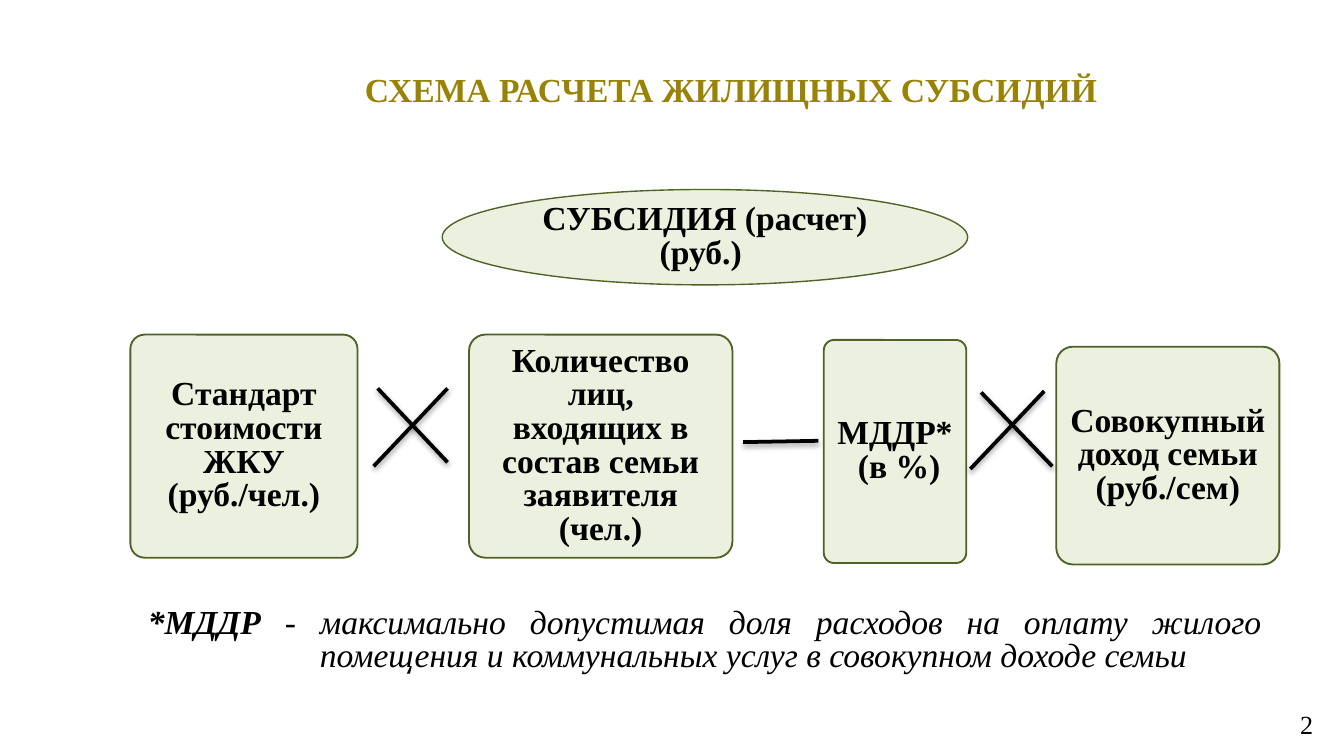
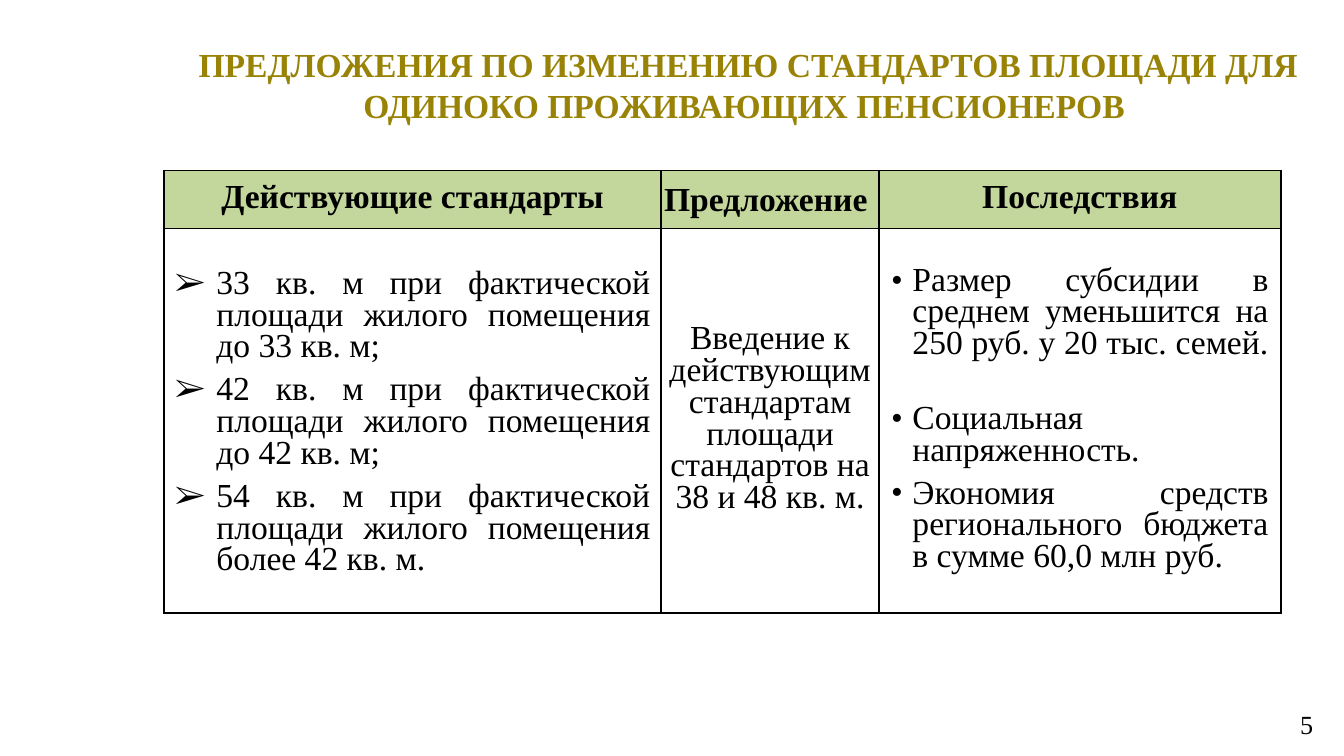
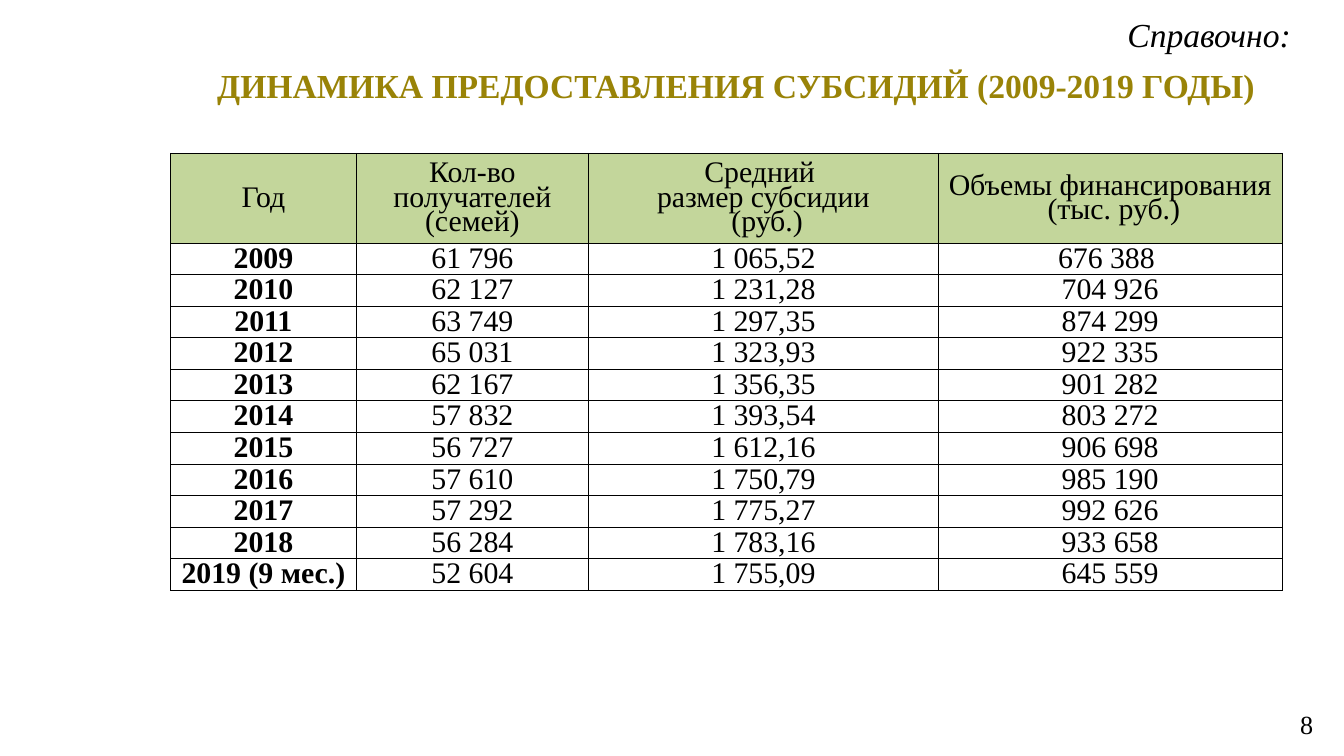
import pptx
import pptx.util
import pptx.dml.color
import pptx.enum.shapes
import pptx.enum.text
import pptx.oxml
import pptx.oxml.ns

Inches, Pt = pptx.util.Inches, pptx.util.Pt
SHAPE = pptx.enum.shapes.MSO_SHAPE
ALIGN = {"c": pptx.enum.text.PP_ALIGN.CENTER, "r": pptx.enum.text.PP_ALIGN.RIGHT,
         "j": pptx.enum.text.PP_ALIGN.JUSTIFY}
MIDDLE = pptx.enum.text.MSO_ANCHOR.MIDDLE
TOP = pptx.enum.text.MSO_ANCHOR.TOP

# Shared style
FONT = "Times New Roman"
COLORS = {"ink": "000000", "title": "998307", "box": "EBF1DE", "edge": "4F6228",
          "head": "C3D69B", "paper": "FFFFFF"}
WIDE, NARROW = (0.13, 0.07, 0.13, 0.07), (0.04, 0.07, 0.04, 0.07)

# Slide 1: subsidy formula
FORMULA_TITLE = "СХЕМА РАСЧЕТА ЖИЛИЩНЫХ СУБСИДИЙ"
RESULT = ["СУБСИДИЯ (расчет)", "(руб.) "]
FACTORS = [  # left, top, width, height, corner, insets, text
    (0.97, 2.49, 1.69, 1.66, 0.064, WIDE, ["Стандарт стоимости ЖКУ", "(руб./чел.)"]),
    (3.49, 2.49, 1.96, 1.66, 0.073, WIDE,
     ["Количество лиц, входящих в состав семьи заявителя (чел.)"]),
    (6.13, 2.53, 1.06, 1.66, 0.072, NARROW, ["МДДР*", " (в %)"]),
    (7.86, 2.58, 1.66, 1.62, 0.076, NARROW, ["Совокупный доход семьи", "(руб./сем)"]),
]
SIGNS = [  # strokes of the signs between the factors: x1, y1, x2, y2
    (2.81, 2.89, 3.33, 3.44), (2.78, 3.47, 3.33, 2.89),
    (5.53, 3.29, 6.09, 3.28),
    (7.3, 2.92, 7.83, 3.47), (7.22, 3.49, 7.77, 2.91),
]
FOOTNOTE = [("*МДДР ", {"bold": True}),
            ("- максимально допустимая доля расходов на оплату жилого помещения "
             "и коммунальных услуг в совокупном доходе семьи", {})]

# Slide 2: proposed standards
STANDARDS_TITLE = ("ПРЕДЛОЖЕНИЯ ПО ИЗМЕНЕНИЮ СТАНДАРТОВ ПЛОЩАДИ ДЛЯ "
                   "ОДИНОКО ПРОЖИВАЮЩИХ ПЕНСИОНЕРОВ ")
STANDARDS_COLS = [3.7, 1.62, 2.99]
STANDARDS_ROWS = [0.43, 2.86]
STANDARDS_HEAD = [("Действующие стандарты", (0.18, 0, 0.18, 0)),
                  ("Предложение ", (0, 0.05, 0, 0)),
                  ("Последствия", (0.18, 0, 0.18, 0))]
STANDARDS_BODY = [  # paragraphs, insets, format, space after each paragraph
    (["33 кв. м при фактической площади жилого помещения до 33 кв. м;",
      "42 кв. м при фактической площади жилого помещения до 42 кв. м;",
      "54 кв. м при фактической площади жилого помещения более 42 кв. м. "],
     (0.08, 0.05, 0.08, 0), {"align": "j", "bullet": "➢", "hang": 0.31}, (6, 6, 0)),
    (["Введение к действующим стандартам площади стандартов на 38 и 48 кв. м."],
     (0, 0, 0, 0), {}, (0,)),
    (["Размер субсидии в среднем уменьшится на 250 руб. у 20 тыс. семей. ",
      "Социальная напряженность.",
      "Экономия средств регионального бюджета в сумме 60,0 млн руб. "],
     (0.09, 0, 0.09, 0), {"align": "j", "bullet": "•", "hang": 0.16}, (23, 6, 0)),
]

# Slide 3: yearly figures
YEARS_TITLE = "ДИНАМИКА ПРЕДОСТАВЛЕНИЯ СУБСИДИЙ (2009-2019 ГОДЫ) "
YEARS_NOTE = "Справочно:"
YEARS_COLS = [1.38, 1.73, 2.6, 2.56]
YEARS_HEAD_H, YEARS_TABLE_H = 0.67, 3.24
YEARS_HEAD = ["Год", "Кол-во получателей (семей)", "Средний \nразмер субсидии\n (руб.)",
              "Объемы финансирования\n (тыс. руб.)"]
YEARS = [
    ("2009", "61 796", "1 065,52", "676 388 "),
    ("2010", "62 127", "1 231,28", "704 926"),
    ("2011", "63 749", "1 297,35", "874 299"),
    ("2012", "65 031", "1 323,93", "922 335"),
    ("2013", "62 167", "1 356,35", "901 282"),
    ("2014", "57 832", "1 393,54", "803 272"),
    ("2015", "56 727", "1 612,16", "906 698"),
    ("2016", "57 610", "1 750,79", "985 190"),
    ("2017", "57 292", "1 775,27", "992 626"),
    ("2018", "56 284", "1 783,16", "933 658"),
    ("2019 (9 мес.)", "52 604", "1 755,09", "645 559"),
]


def rgb(name):
    return pptx.dml.color.RGBColor.from_string(COLORS[name])


def add_xml(parent, tag, attrs="", inner=""):
    ns = pptx.oxml.ns.nsdecls("a")
    parent.append(pptx.oxml.parse_xml(f"<a:{tag} {ns} {attrs}>{inner}</a:{tag}>"))


def write(tf, paras, size=18, align="c", color="ink", bold=False, italic=False,
          spacing=None, after=(), hang=0, bullet=None):
    """Fill a text frame; a paragraph is a string or a list of (text, font changes)."""
    for i, para in enumerate(paras):
        p = tf.paragraphs[0] if i == 0 else tf.add_paragraph()
        p.alignment = ALIGN[align]
        if spacing:
            p.line_spacing = Pt(spacing)
        if after:
            p.space_after = Pt(after[i])
        pPr = p._p.get_or_add_pPr()
        if hang:
            pPr.set("marL", str(Inches(hang)))
            pPr.set("indent", str(-Inches(hang)))
        if bullet:
            add_xml(pPr, "buFont", f'typeface="{FONT}"')
            add_xml(pPr, "buChar", f'char="{bullet}"')
        for text, changes in [(para, {})] if isinstance(para, str) else para:
            for n, line in enumerate(text.split("\n")):
                if n:
                    p.add_line_break()
                r = p.add_run()
                r.text = line
                r.font.name, r.font.size = FONT, Pt(size)
                r.font.color.rgb = rgb(color)
                r.font.bold = changes.get("bold", bold)
                r.font.italic = italic


def set_insets(frame, insets):
    (frame.margin_left, frame.margin_top,
     frame.margin_right, frame.margin_bottom) = map(Inches, insets)


def add_text(s, box, paras, insets=(0.1, 0.05, 0.1, 0.05), anchor=MIDDLE, **style):
    tf = s.shapes.add_textbox(*map(Inches, box)).text_frame
    tf.word_wrap = True
    tf.vertical_anchor = anchor
    set_insets(tf, insets)
    write(tf, paras, **style)


def add_box(s, kind, box, insets, paras, line):
    sp = s.shapes.add_shape(kind, *map(Inches, box))
    sp.shadow.inherit = False
    sp.fill.solid()
    sp.fill.fore_color.rgb = rgb("box")
    sp.line.color.rgb = rgb("edge")
    sp.line.width = Pt(line)
    sp.text_frame.word_wrap = True
    sp.text_frame.vertical_anchor = MIDDLE
    set_insets(sp.text_frame, insets)
    write(sp.text_frame, paras, bold=True, spacing=18)
    return sp


def add_stroke(s, ends):
    cn = s.shapes.add_connector(pptx.enum.shapes.MSO_CONNECTOR.STRAIGHT, *map(Inches, ends))
    cn.line.color.rgb = rgb("ink")
    cn.line.width = Pt(2)
    add_xml(cn._element.spPr, "effectLst", inner=(
        f'<a:outerShdw blurRad="{Pt(3.1)}" dist="{Pt(1.6)}" dir="5400000" rotWithShape="0">'
        f'<a:srgbClr val="{COLORS["ink"]}"><a:alpha val="38000"/></a:srgbClr></a:outerShdw>'))


def add_grid(s, left, top, cols, rows):
    tb = s.shapes.add_table(len(rows), len(cols), Inches(left), Inches(top),
                            Inches(sum(cols)), Inches(sum(rows))).table
    for col, w in zip(tb.columns, cols):
        col.width = Inches(w)
    for row, h in zip(tb.rows, rows):
        row.height = Inches(h)
    return tb


def fill_cell(cell, paras, insets, fill, border, **style):
    set_insets(cell, insets)
    cell.vertical_anchor = MIDDLE
    write(cell.text_frame, paras, **style)
    tcPr = cell._tc.get_or_add_tcPr()
    for side in ("lnL", "lnR", "lnT", "lnB"):
        add_xml(tcPr, side, f'w="{Pt(border)}"',
                f'<a:solidFill><a:srgbClr val="{COLORS["ink"]}"/></a:solidFill>')
    cell.fill.solid()
    cell.fill.fore_color.rgb = rgb(fill)


def new_slide(prs, number, title, title_box):
    s = prs.slides.add_slide(prs.slide_layouts[6])
    add_text(s, (7.62, 5.24, 2.25, 0.3), [number], size=14, align="r")
    add_text(s, title_box, [title], color="title", bold=True)
    return s


def formula_slide(prs):
    s = new_slide(prs, "2", FORMULA_TITLE, (1.14, 0.26, 8.6, 0.8))
    add_box(s, SHAPE.OVAL, (3.29, 1.41, 3.91, 0.71), WIDE, RESULT, 0.75)
    for *box, corner, insets, paras in FACTORS:
        sp = add_box(s, SHAPE.ROUNDED_RECTANGLE, box, insets, paras, 1)
        sp.adjustments[0] = corner
    for ends in SIGNS:
        add_stroke(s, ends)
    add_text(s, (0.97, 4.3, 8.55, 0.94), [FOOTNOTE], WIDE, align="j", italic=True,
             spacing=18, hang=1.28)


def standards_slide(prs):
    s = new_slide(prs, "5", STANDARDS_TITLE, (1.14, 0.23, 8.86, 0.8))
    tb = add_grid(s, 1.22, 1.27, STANDARDS_COLS, STANDARDS_ROWS)
    for c, (text, insets) in enumerate(STANDARDS_HEAD):
        fill_cell(tb.cell(0, c), [text], insets, "head", 1, bold=True, spacing=17)
    for c, (paras, insets, style, after) in enumerate(STANDARDS_BODY):
        fill_cell(tb.cell(1, c), paras, insets, "paper", 1, spacing=17, after=after, **style)


def years_slide(prs):
    s = new_slide(prs, "8", YEARS_TITLE, (1.08, 0.23, 8.86, 0.8))
    row_h = (YEARS_TABLE_H - YEARS_HEAD_H) / len(YEARS)
    tb = add_grid(s, 1.27, 1.14, YEARS_COLS, [YEARS_HEAD_H] + [row_h] * len(YEARS))
    for c, text in enumerate(YEARS_HEAD):
        fill_cell(tb.cell(0, c), [text], (0, 0.05, 0, 0), "head", 0.5, size=16, spacing=13)
    for i, row in enumerate(YEARS, 1):
        for c, text in enumerate(row):
            fill_cell(tb.cell(i, c), [text], (0, 0.04, 0, 0), "paper", 0.5,
                      size=16, bold=c == 0, spacing=14)
    add_text(s, (8.29, 0.12, 1.43, 0.34), [YEARS_NOTE], anchor=TOP, align="j",
             italic=True, spacing=17)


def main():
    prs = pptx.Presentation()
    prs.slide_width = Inches(10)
    prs.slide_height = prs.slide_width * 9 // 16
    formula_slide(prs)
    standards_slide(prs)
    years_slide(prs)
    prs.save("out.pptx")


if __name__ == "__main__":
    main()
